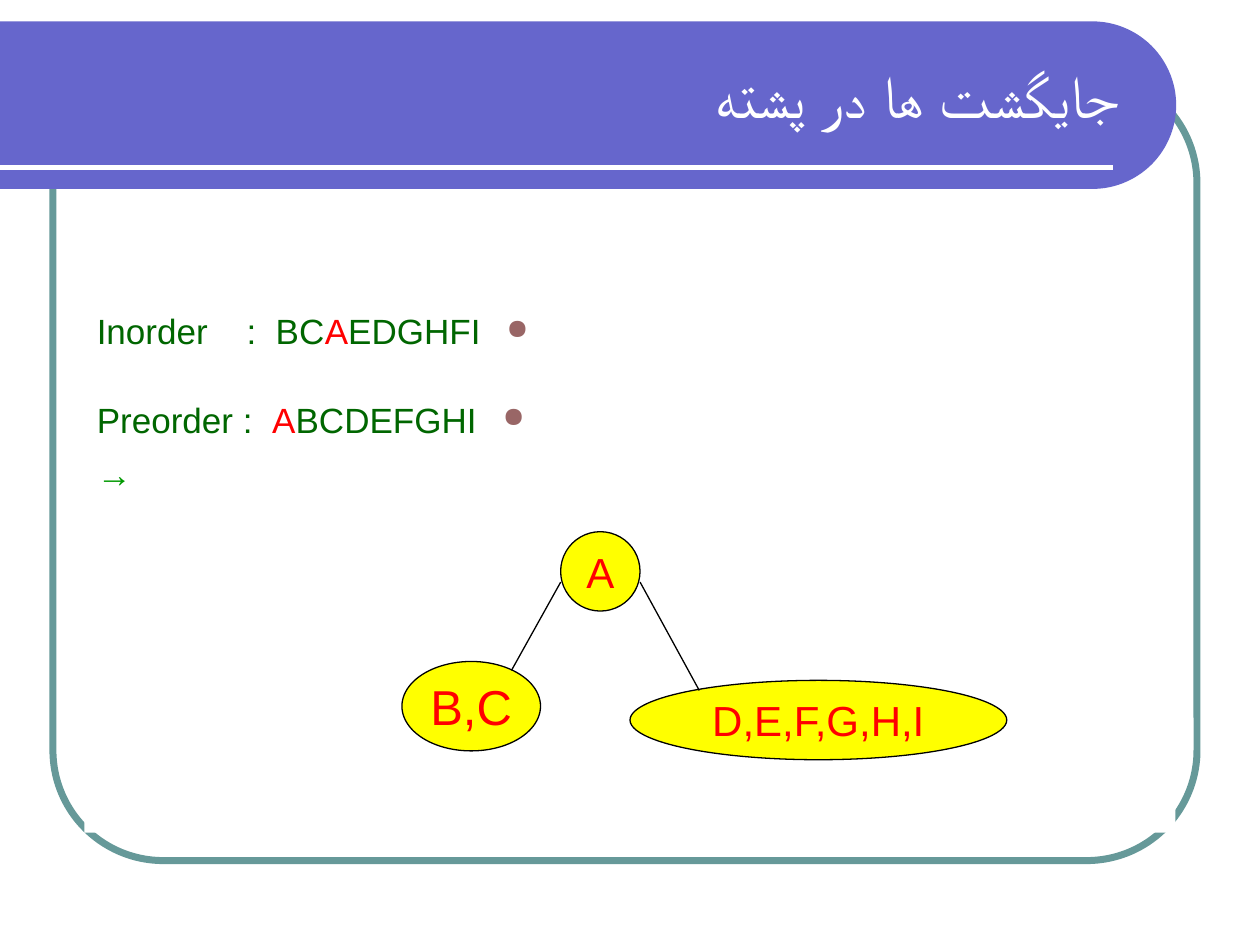
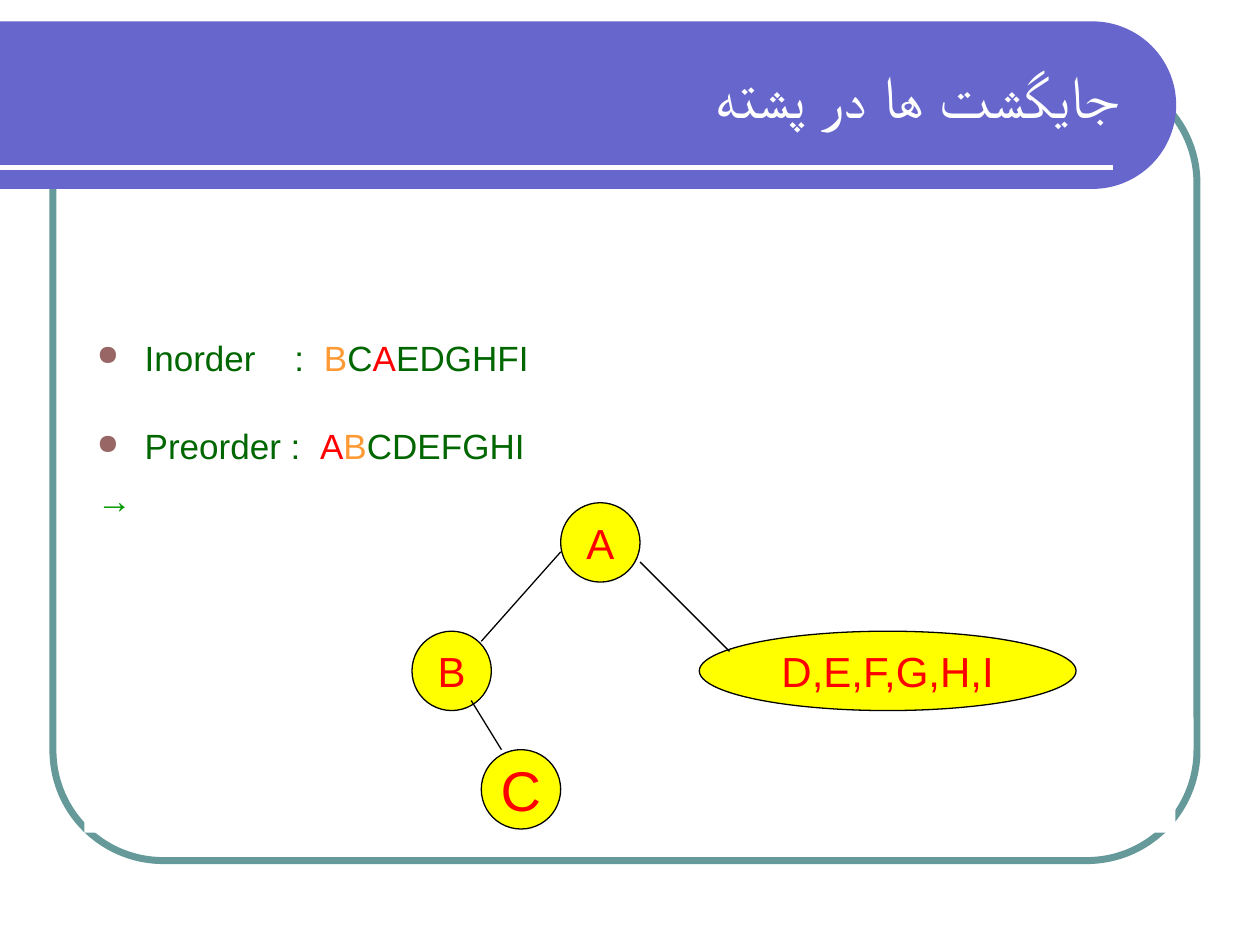
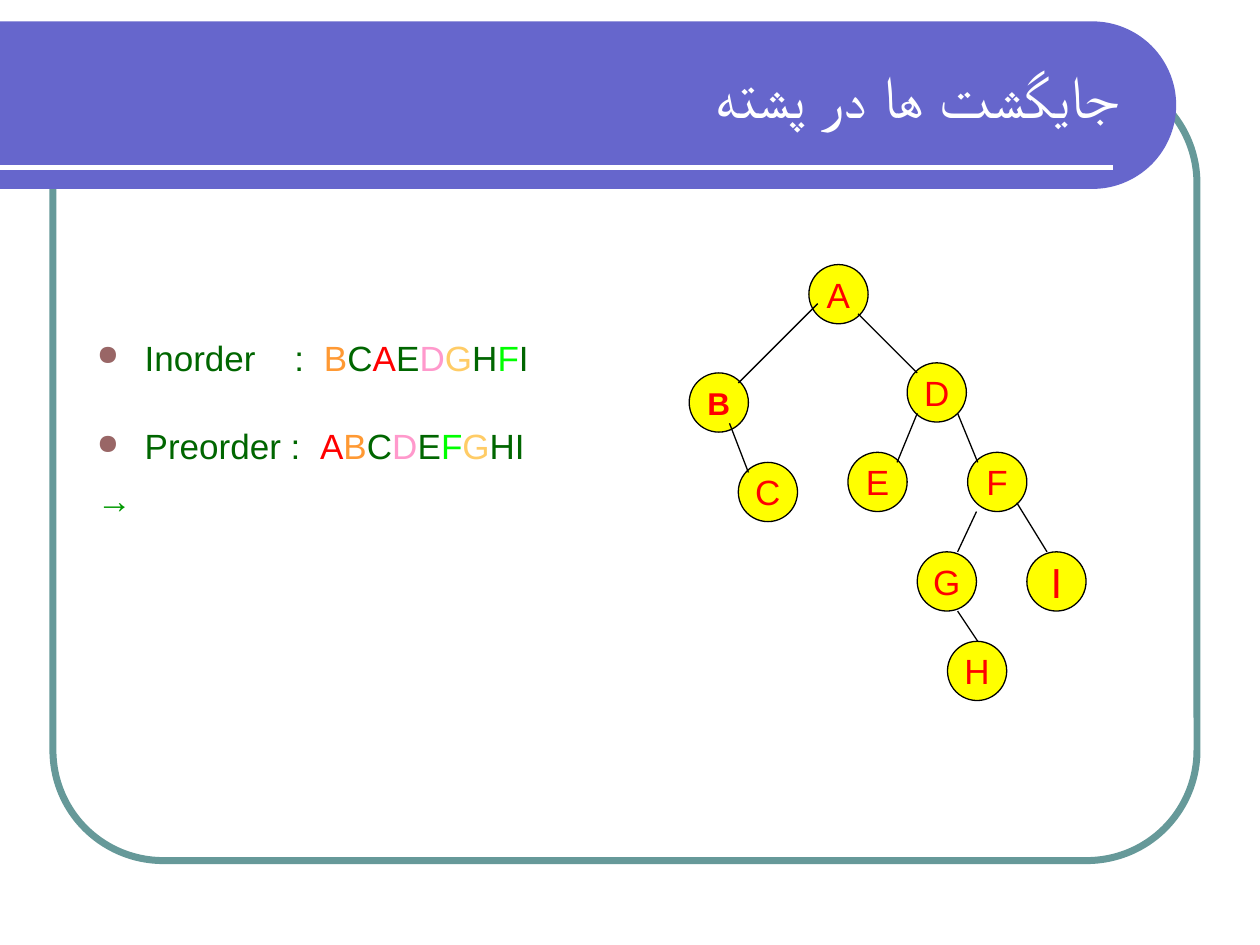
import dataclasses
import itertools
import math

import lxml.etree
import pptx
import pptx.dml.color
import pptx.enum.shapes
import pptx.enum.text
import pptx.oxml.ns
import pptx.util

Inches = pptx.util.Inches
Pt = pptx.util.Pt
qn = pptx.oxml.ns.qn
MSO_SHAPE = pptx.enum.shapes.MSO_SHAPE
PP_ALIGN = pptx.enum.text.PP_ALIGN


@dataclasses.dataclass(frozen=True)
class Theme:
    font: str = "Arial"
    white: str = "FFFFFF"
    black: str = "000000"
    band: str = "6666CC"
    frame: str = "669999"
    bullet: str = "996666"
    order: str = "006600"
    arrow: str = "009900"
    node: str = "FFFF00"
    key: str = "FF0000"
    orange: str = "FF9933"
    pink: str = "FF99CC"
    sand: str = "FFCC66"
    lime: str = "00FF00"
    title_size: int = 34
    order_size: int = 20


theme = Theme()


def rgb(code):
    return pptx.dml.color.RGBColor.from_string(code)


def style_run(run, size, color, bold=False):
    run.font.name = theme.font
    run.font.size = Pt(size)
    run.font.bold = bold
    run.font.color.rgb = rgb(color)
    lxml.etree.SubElement(run.font._element, qn("a:cs"), typeface=theme.font)


TITLE = "جايگشت ها در پشته"
ORDERS = [("Inorder    :  ", "BCAEDGHFI"), ("Preorder :  ", "ABCDEFGHI")]

steps = [
    {
        "rtl": True, "covers_frame": True, "orders_inset": 0.68,
        "highlights": {"A": theme.key},
        "nodes": [
            ("A", 4.45, 4.22, 0.63, 0.63, 24),
            ("B,C", 3.19, 5.25, 1.1, 0.71, 28),
            ("D,E,F,G,H,I", 5, 5.4, 2.99, 0.63, 24),
        ],
        "branches": [(4.45, 4.62, 4.06, 5.32), (5.08, 4.62, 5.55, 5.48)],
    },
    {
        "rtl": False, "covers_frame": True, "orders_inset": 0.89,
        "highlights": {"A": theme.key, "B": theme.orange},
        "nodes": [
            ("A", 4.45, 3.99, 0.63, 0.63, 24),
            ("D,E,F,G,H,I", 5.55, 5.01, 2.99, 0.63, 24),
            ("B", 3.27, 5.01, 0.63, 0.63, 24),
            ("C", 3.82, 5.95, 0.63, 0.63, 32),
        ],
        "branches": [
            (4.45, 4.38, 3.82, 5.09),
            (5.08, 4.46, 5.79, 5.17),
            (3.74, 5.56, 3.98, 5.95),
        ],
    },
    {
        "rtl": False, "covers_frame": False, "orders_inset": 0.89,
        "highlights": {"A": theme.key, "B": theme.orange, "D": theme.pink,
                       "G": theme.sand, "F": theme.lime},
        "nodes": [
            (label, left, top, 0.47, 0.47, size)
            for label, left, top, size in [
                ("A", 6.42, 2.1, 20), ("E", 6.73, 3.59, 20), ("D", 7.2, 2.88, 20),
                ("B", 5.47, 2.96, 18), ("F", 7.68, 3.59, 20), ("C", 5.86, 3.67, 20),
                ("I", 8.15, 4.38, 24), ("H", 7.52, 5.09, 20), ("G", 7.28, 4.38, 20),
            ]
        ],
        "bold": "B",
        "branches": [
            (5.86, 3.04, 6.49, 2.41),
            (5.79, 3.36, 5.94, 3.75),
            (6.81, 2.49, 7.28, 2.96),
            (7.28, 3.28, 7.12, 3.67),
            (7.6, 3.28, 7.76, 3.67),
            (7.75, 4.06, 7.6, 4.38),
            (8.07, 3.99, 8.31, 4.38),
            (7.6, 4.85, 7.76, 5.09),
        ],
    },
]

band_top, band_bottom, band_round_x = 0.17, 1.5, 8.67
band_radius = (band_bottom - band_top) / 2
band_edge = [
    (band_round_x + band_radius * math.cos(math.radians(angle)),
     band_top + band_radius * (1 + math.sin(math.radians(angle))))
    for angle in range(-90, 91, 3)
]

deck = pptx.Presentation()
deck.slide_width = Inches(10)
deck.slide_height = Inches(7.5)

for step in steps:
    slide = deck.slides.add_slide(deck.slide_layouts[6])
    shapes = slide.shapes

    frame = shapes.add_shape(MSO_SHAPE.ROUNDED_RECTANGLE,
                             Inches(0.42), Inches(0.58), Inches(9.08), Inches(6.25))
    frame.adjustments[0] = 0.14
    frame.shadow.inherit = False
    frame.fill.background()
    frame.line.color.rgb = rgb(theme.frame)
    frame.line.width = Pt(4)

    outline = shapes.build_freeform(0, Inches(band_top))
    outline.add_line_segments(
        [(Inches(x), Inches(y)) for x, y in band_edge + [(0, band_bottom)]], close=True)
    band = outline.convert_to_shape()
    band.shadow.inherit = False
    band.fill.solid()
    band.fill.fore_color.rgb = rgb(theme.band)
    band.line.fill.background()

    title = shapes.add_textbox(Inches(0.21), Inches(0.25), Inches(8.77), Inches(1))
    title.text_frame.word_wrap = True
    title.text_frame.vertical_anchor = pptx.enum.text.MSO_ANCHOR.MIDDLE
    title.text_frame.text = TITLE
    heading = title.text_frame.paragraphs[0]
    heading.alignment = PP_ALIGN.RIGHT
    heading._p.get_or_add_pPr().set("rtl", "1")
    style_run(heading.runs[0], theme.title_size, theme.white)

    orders = shapes.add_textbox(Inches(0.67), Inches(1.78), Inches(8.66), Inches(4.83))
    if step["covers_frame"]:
        orders.fill.solid()
        orders.fill.fore_color.rgb = rgb(theme.white)
    orders_text = orders.text_frame
    orders_text.word_wrap = True
    orders_text.margin_top = Inches(step["orders_inset"])
    for index, (label, letters) in enumerate(ORDERS):
        order = orders_text.add_paragraph() if index else orders_text.paragraphs[0]
        order.space_before = Pt(26.4 * index)
        order.alignment = PP_ALIGN.LEFT
        properties = order._p.get_or_add_pPr()
        properties.set("marL", str(Inches(0.38)))
        properties.set("indent", str(Inches(-0.38)))
        properties.set("rtl", "1" if step["rtl"] else "0")
        bullet_color = lxml.etree.SubElement(properties, qn("a:buClr"))
        lxml.etree.SubElement(bullet_color, qn("a:srgbClr"), val=theme.bullet)
        lxml.etree.SubElement(properties, qn("a:buSzPct"), val="80000")
        lxml.etree.SubElement(properties, qn("a:buChar"), char="●")
        order.text = label
        style_run(order.runs[0], theme.order_size, theme.order)
        for color, group in itertools.groupby(
                letters, lambda letter: step["highlights"].get(letter, theme.order)):
            part = order.add_run()
            part.text = "".join(group)
            style_run(part, theme.order_size, color)
    arrow = orders_text.add_paragraph()
    arrow.text = "→"
    arrow.alignment = PP_ALIGN.LEFT
    arrow.space_before = Pt(7)
    style_run(arrow.runs[0], theme.order_size, theme.arrow)

    for label, left, top, width, height, size in step["nodes"]:
        node = shapes.add_shape(MSO_SHAPE.OVAL, Inches(left), Inches(top),
                                Inches(width), Inches(height))
        node.shadow.inherit = False
        node.fill.solid()
        node.fill.fore_color.rgb = rgb(theme.node)
        node.line.color.rgb = rgb(theme.black)
        node.line.width = Pt(0.75)
        node.text_frame.word_wrap = False
        node.text_frame.text = label
        node.text_frame.paragraphs[0].alignment = PP_ALIGN.CENTER
        style_run(node.text_frame.paragraphs[0].runs[0], size, theme.key,
                  bold=label == step.get("bold"))

    rule = (0, 1.33, 8.83, 1.33, theme.white, 3)
    branches = [(*ends, theme.black, 0.75) for ends in step["branches"]]
    for x1, y1, x2, y2, color, weight in [rule] + branches:
        stroke = shapes.add_connector(pptx.enum.shapes.MSO_CONNECTOR.STRAIGHT,
                                      Inches(x1), Inches(y1), Inches(x2), Inches(y2))
        stroke.line.color.rgb = rgb(color)
        stroke.line.width = Pt(weight)
        lxml.etree.SubElement(stroke._element.spPr, qn("a:effectLst"))

deck.save("out.pptx")
